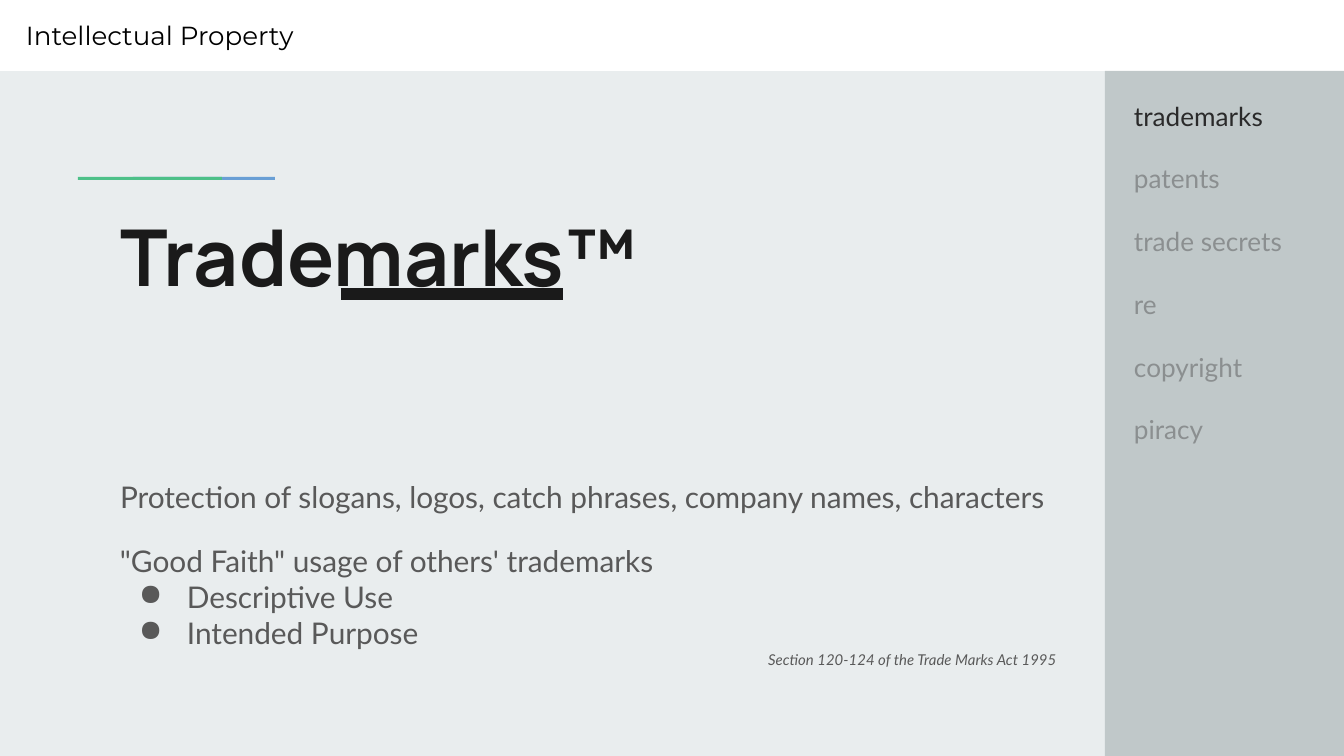
from dataclasses import dataclass

from lxml import etree
from pptx import Presentation
from pptx import util as u
from pptx.dml.color import RGBColor
from pptx.enum import shapes, text
from pptx.oxml import ns

PX_PER_INCH = 134.4
SLIDE_WIDTH, SLIDE_HEIGHT = 1344, 756
INSET = 13
HEADER_HEIGHT = 71
SIDEBAR_LEFT = 1105
CONTENT_LEFT, CONTENT_WIDTH = 107, 963


@dataclass(frozen=True)
class Theme:
    background: str = "E9EDEE"
    header: str = "FFFFFF"
    sidebar: str = "C0C8C9"
    blue: str = "699FD5"
    green: str = "4DC088"
    ink: str = "1A1A1A"
    header_font = {"name": "Montserrat", "size": u.Pt(14)}
    title_font = {"name": "Manrope", "size": u.Pt(42), "bold": True}
    body_font = {"name": "Lato", "size": u.Pt(16)}
    menu_font = {"name": "Lato", "size": u.Pt(14)}
    note_font = {"name": "Lato", "size": u.Pt(8), "italic": True}
    header_text: str = "000000"
    body_text: str = "595959"
    active_text: str = "2A2A2A"
    muted_text: str = "8B8F90"


THEME = Theme()


def px(length):
    return u.Emu(round(length * 914400 / PX_PER_INCH))


def set_values(target, values):
    for name, value in values.items():
        setattr(target, name, value)


def place(shape, left, top, width, height):
    set_values(shape, {"left": px(left), "top": px(top),
                       "width": px(width), "height": px(height)})


def prepare_frame(shape, anchor=text.MSO_ANCHOR.TOP, left_inset=INSET):
    frame = shape.text_frame
    set_values(frame, {
        "word_wrap": True, "auto_size": text.MSO_AUTO_SIZE.NONE,
        "vertical_anchor": anchor, "margin_left": px(left_inset),
        "margin_right": px(INSET), "margin_top": px(INSET),
        "margin_bottom": px(INSET)})
    return frame


def write_paragraph(frame, wording, font, color, align=text.PP_ALIGN.LEFT, gap=0):
    """Fill the empty first paragraph, or append one; gap is in points."""
    first = frame.paragraphs[0]
    paragraph = frame.add_paragraph() if first.runs else first
    set_values(paragraph, {"alignment": align, "line_spacing": 1.0,
                           "space_before": u.Pt(gap), "space_after": u.Pt(0)})
    run = paragraph.add_run()
    run.text = wording
    set_values(run.font, font)
    run.font.color.rgb = RGBColor.from_string(color)
    return paragraph


def add_bullet(paragraph, color):
    properties = paragraph._p.get_or_add_pPr()
    properties.set("marL", str(px(67)))
    properties.set("indent", str(px(-48)))
    bullet_color = etree.SubElement(properties, ns.qn("a:buClr"))
    etree.SubElement(bullet_color, ns.qn("a:srgbClr"), val=color)
    etree.SubElement(properties, ns.qn("a:buChar"), char="●")


def add_rectangle(slide, left, top, width, height, color):
    shape = slide.shapes.add_shape(
        shapes.MSO_SHAPE.RECTANGLE, px(left), px(top), px(width), px(height))
    shape.shadow.inherit = False
    shape.fill.solid()
    shape.fill.fore_color.rgb = RGBColor.from_string(color)
    shape.line.fill.background()
    return shape


def add_text_box(slide, left, top, width, height):
    return prepare_frame(slide.shapes.add_textbox(
        px(left), px(top), px(width), px(height)))


def add_line(slide, start, end, color, points):
    line = slide.shapes.add_connector(
        shapes.MSO_CONNECTOR.STRAIGHT, *map(px, start + end))
    line.line.color.rgb = RGBColor.from_string(color)
    line.line.width = u.Pt(points)
    etree.SubElement(line._element.spPr, ns.qn("a:effectLst"))


def add_backdrop(slide):
    slide.background.fill.solid()
    slide.background.fill.fore_color.rgb = RGBColor.from_string(THEME.background)
    header = add_rectangle(slide, 0, 0, SLIDE_WIDTH, HEADER_HEIGHT, THEME.header)
    frame = prepare_frame(header, text.MSO_ANCHOR.MIDDLE, left_inset=26)
    write_paragraph(frame, "Intellectual Property", THEME.header_font,
                    THEME.header_text)
    add_rectangle(slide, SIDEBAR_LEFT, HEADER_HEIGHT, SLIDE_WIDTH - SIDEBAR_LEFT,
                  SLIDE_HEIGHT - HEADER_HEIGHT, THEME.sidebar)
    add_rectangle(slide, 133, 177, 142, 3, THEME.blue)
    add_rectangle(slide, 78, 177, 144, 3, THEME.green)


def fill_placeholder(shape, top, height, wording, font, color):
    place(shape, CONTENT_LEFT, top, CONTENT_WIDTH, height)
    write_paragraph(prepare_frame(shape), wording, font, color)


def add_menu(slide, topics, active):
    frame = add_text_box(slide, 1121, 87, 211, 380)
    for index, topic in enumerate(topics):
        color = THEME.active_text if topic == active else THEME.muted_text
        write_paragraph(frame, topic, THEME.menu_font, color,
                        gap=16.8 if index else 0)


def add_usage_list(slide):
    frame = add_text_box(slide, CONTENT_LEFT, 530, CONTENT_WIDTH, 226)
    write_paragraph(frame, "\"Good Faith\" usage of others' trademarks",
                    THEME.body_font, THEME.body_text)
    for wording in ("Descriptive Use", "Intended Purpose"):
        add_bullet(write_paragraph(frame, wording, THEME.body_font,
                                   THEME.body_text), THEME.body_text)
    write_paragraph(frame, "Section 120-124 of the Trade Marks Act 1995",
                    THEME.note_font, THEME.body_text, text.PP_ALIGN.RIGHT)


def main():
    presentation = Presentation()
    set_values(presentation, {"slide_width": px(SLIDE_WIDTH),
                              "slide_height": px(SLIDE_HEIGHT)})
    slide = presentation.slides.add_slide(presentation.slide_layouts[0])
    title, subtitle = slide.placeholders
    add_backdrop(slide)
    fill_placeholder(title, 195, 245, "Trademarks™", THEME.title_font, THEME.ink)
    fill_placeholder(
        subtitle, 466, 290,
        "Protection of slogans, logos, catch phrases, company names, characters",
        THEME.body_font, THEME.body_text)
    add_line(slide, (341, 294), (563, 294), THEME.ink, 6)
    add_menu(slide, ("trademarks", "patents", "trade secrets", "re",
                     "copyright", "piracy"), active="trademarks")
    add_usage_list(slide)
    presentation.save("out.pptx")


if __name__ == "__main__":
    main()
